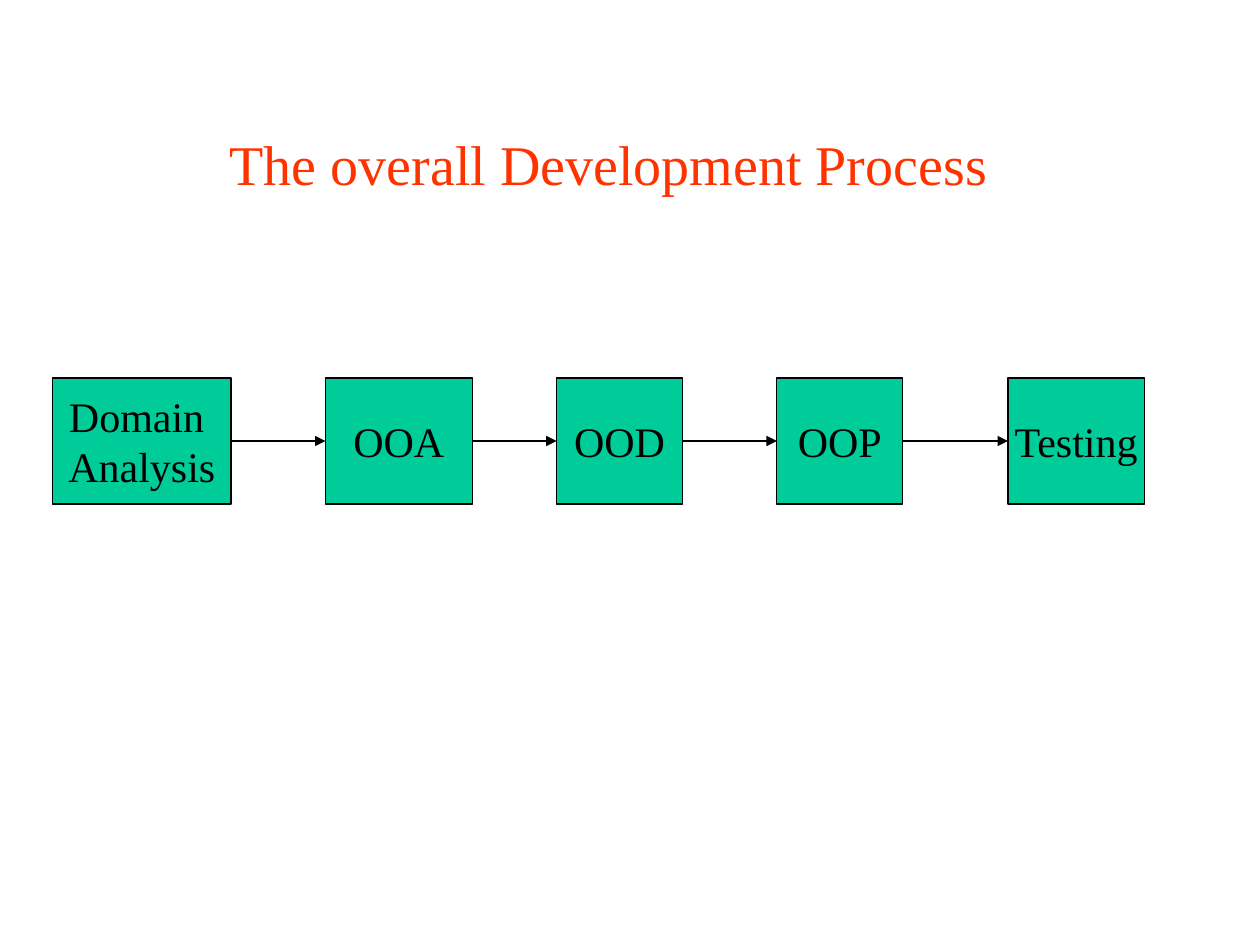
from itertools import pairwise

from lxml import etree
from pptx import Presentation
from pptx.dml.color import RGBColor
from pptx.enum.shapes import MSO_CONNECTOR, MSO_SHAPE
from pptx.enum.text import MSO_ANCHOR, PP_ALIGN
from pptx.oxml.ns import qn
from pptx.util import Cm, Pt

RECTANGLE = MSO_SHAPE.RECTANGLE
STRAIGHT = MSO_CONNECTOR.STRAIGHT
CENTER = PP_ALIGN.CENTER
MIDDLE = MSO_ANCHOR.MIDDLE
LEFT_SIDE, RIGHT_SIDE = 1, 3  # connection sites of a rectangle

TITLE_ONLY = 5
STEP_TOP, STEP_HEIGHT = 7.62, 2.54
STEPS = [  # text, left, width
    ("Domain \nAnalysis", 1.06, 3.6),
    ("OOA", 6.56, 2.96),
    ("OOD", 11.22, 2.54),
    ("OOP", 15.66, 2.54),
    ("Testing", 20.32, 2.75),
]


def color(hex_string):
    return RGBColor.from_string(hex_string)


class ProcessSlide:
    font_name = "Times New Roman"
    title_color = "FF3300"
    fill_color = "00CC99"
    ink_color = "000000"
    line_width = 0.75

    def __init__(self, slide):
        self.slide = slide

    def set_text(self, frame, text, size, hex_color):
        frame.text = text
        frame.vertical_anchor = MIDDLE
        for para in frame.paragraphs:
            para.alignment = CENTER
            for span in para.runs:
                span.font.name = self.font_name
                span.font.size = Pt(size)
                span.font.color.rgb = color(hex_color)

    def outline(self, line):
        line.color.rgb = color(self.ink_color)
        line.width = Pt(self.line_width)

    def title(self, text, left, top, width, height):
        box = self.slide.shapes.title
        box.left, box.top = Cm(left), Cm(top)
        box.width, box.height = Cm(width), Cm(height)
        self.set_text(box.text_frame, text, 32, self.title_color)

    def step(self, text, left, width):
        box = self.slide.shapes.add_shape(
            RECTANGLE, Cm(left), Cm(STEP_TOP), Cm(width), Cm(STEP_HEIGHT))
        box.shadow.inherit = False
        box.fill.solid()
        box.fill.fore_color.rgb = color(self.fill_color)
        self.outline(box.line)
        box.text_frame.word_wrap = False
        self.set_text(box.text_frame, text, 24, self.ink_color)
        return box

    def arrow(self, source, target):
        """Join the right side of source to the left side of target."""
        arrow = self.slide.shapes.add_connector(STRAIGHT, 0, 0, 0, 0)
        arrow.begin_connect(source, RIGHT_SIDE)
        arrow.end_connect(target, LEFT_SIDE)
        self.outline(arrow.line)
        properties = arrow._element.spPr
        etree.SubElement(properties.find(qn("a:ln")), qn("a:tailEnd"), type="triangle")
        etree.SubElement(properties, qn("a:effectLst"))


def main():
    deck = Presentation()
    deck.slide_width, deck.slide_height = Cm(25.4), Cm(19.05)
    process = ProcessSlide(deck.slides.add_slide(deck.slide_layouts[TITLE_ONLY]))
    process.title("The overall Development Process", 1.48, 1.69, 21.59, 3.18)
    boxes = [process.step(*step) for step in STEPS]
    for source, target in pairwise(boxes):
        process.arrow(source, target)
    deck.save("out.pptx")


if __name__ == "__main__":
    main()
